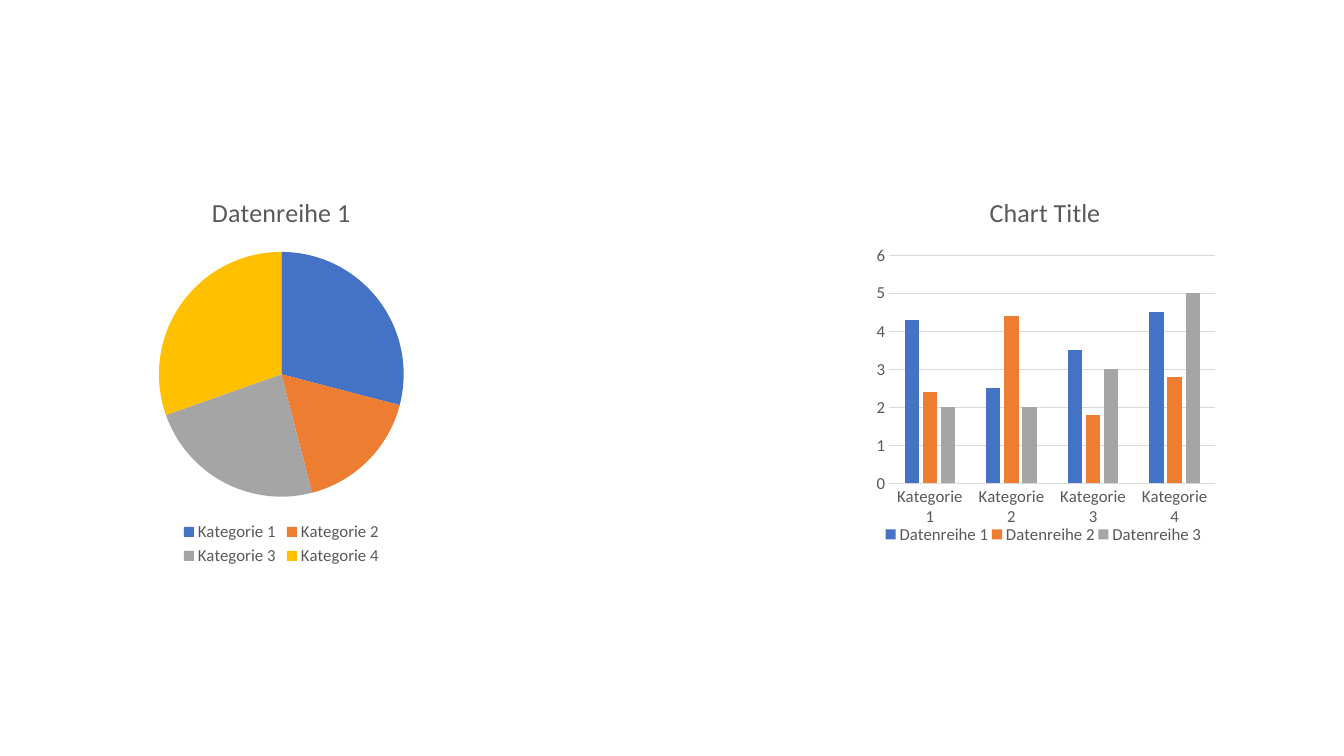
from lxml.etree import SubElement as Sub
from pptx import Presentation
from pptx.chart.data import CategoryChartData as Data
from pptx.dml.color import RGBColor as RGB
from pptx.enum.chart import XL_CHART_TYPE as Kind
from pptx.enum.chart import XL_LEGEND_POSITION as Pos
from pptx.enum.chart import XL_TICK_MARK as Tick
from pptx.oxml.ns import qn
from pptx.util import Cm, Pt

FONT = "Calibri"
HEX = {
    "blue": "4472C4",
    "orange": "ED7D31",
    "grey": "A5A5A5",
    "gold": "FFC000",
    "text": "595959",
    "rule": "D9D9D9",
}
FILLS = ("blue", "orange", "grey", "gold")
CATS = [f"Kategorie {n}" for n in range(1, 5)]
ROWS = {
    "Datenreihe 1": (4.3, 2.5, 3.5, 4.5),
    "Datenreihe 2": (2.4, 4.4, 1.8, 2.8),
    "Datenreihe 3": (2, 2, 3, 5),
}


def color(key):
    return RGB.from_string(HEX[key])


def set_font(font, size):
    font.name = FONT
    font.size = Pt(size)
    font.bold = False
    font.color.rgb = color("text")


def set_line(line):
    line.color.rgb = color("rule")
    line.width = Pt(0.75)


def paint(parts):
    """Fill series or pie slices in palette order."""
    for part, key in zip(parts, FILLS):
        part.format.fill.solid()
        part.format.fill.fore_color.rgb = color(key)


def set_layout(node, index, box, inner=False):
    """Fix a chart part to a box given in fractions of the chart."""
    for old in node.findall(qn("c:layout")):
        node.remove(old)
    layout = Sub(node, qn("c:layout"))
    node.insert(index, layout)
    manual = Sub(layout, qn("c:manualLayout"))
    rules = [("layoutTarget", "inner")] if inner else []
    rules += [("xMode", "edge"), ("yMode", "edge")]
    rules += zip("xywh", box)
    for tag, val in rules:
        Sub(manual, qn(f"c:{tag}")).set("val", str(val))


def add_chart(slide, kind, left, title):
    data = Data()
    data.categories = CATS
    for name, vals in ROWS.items():
        data.add_series(name, vals)
    frame = slide.shapes.add_chart(
        kind, left, Cm(4.45), Cm(8.94), Cm(9.91), data)
    chart = frame.chart
    chart.replace_data(data)  # a new pie holds only the first series
    set_font(chart.font, 12)
    chart.has_title = True
    chart.chart_title.include_in_layout = False
    head = chart.chart_title.text_frame
    head.text = title
    set_font(head.paragraphs[0].font, 18.6)
    chart.has_legend = True
    chart.legend.position = Pos.BOTTOM
    chart.legend.include_in_layout = False
    set_font(chart.legend.font, 12)
    return chart


def add_bars(slide, left, title):
    chart = add_chart(slide, Kind.COLUMN_CLUSTERED, left, title)
    plot = chart.plots[0]
    plot.vary_by_categories = False
    plot.gap_width = 219
    plot.overlap = -27
    paint(plot.series)
    for axis in (chart.category_axis, chart.value_axis):
        axis.major_tick_mark = axis.minor_tick_mark = Tick.NONE
        set_font(axis.tick_labels.font, 12)
    set_line(chart.category_axis.format.line)
    chart.value_axis.format.line.fill.background()
    set_line(chart.value_axis.major_gridlines.format.line)
    area = chart.element.find(".//" + qn("c:plotArea"))
    set_layout(area, 0, (0.06, 0.2, 0.92, 0.58), inner=True)
    legend = chart.element.find(".//" + qn("c:legend"))
    set_layout(legend, 1, (0.04, 0.88, 0.91, 0.06))


def add_pie(slide, left, title):
    chart = add_chart(slide, Kind.PIE, left, title)
    plot = chart.plots[0]
    plot.vary_by_categories = True
    for row in plot.series:
        paint([row.points[i] for i in range(len(CATS))])


def main():
    deck = Presentation()
    deck.slide_width, deck.slide_height = Cm(33.87), Cm(19.05)
    slide = deck.slides.add_slide(deck.slide_layouts[6])
    add_bars(slide, Cm(21.87), "Chart Title")
    add_pie(slide, Cm(2.62), "Datenreihe 1")
    deck.save("out.pptx")


if __name__ == "__main__":
    main()
